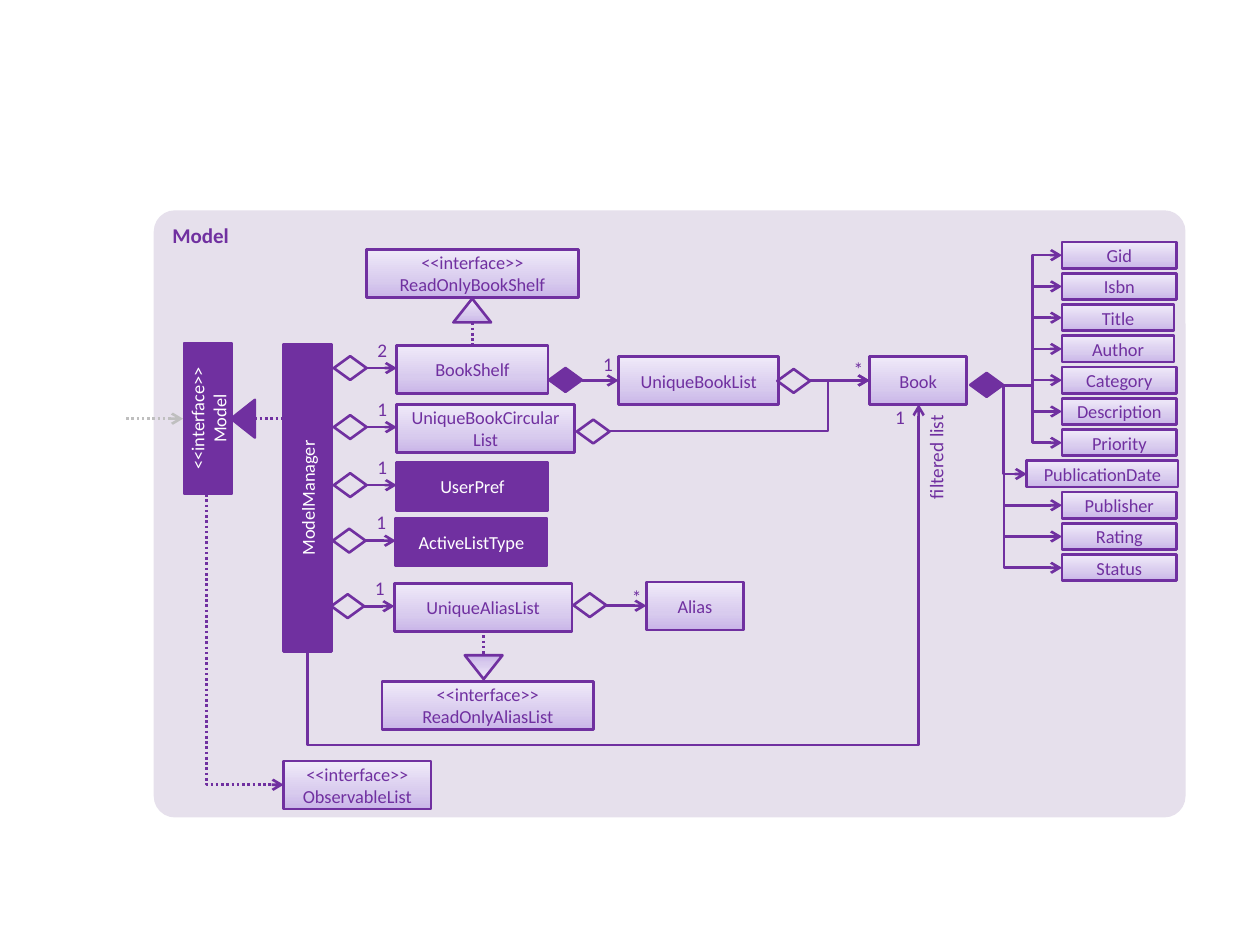
from copy import deepcopy

from lxml import etree
from pptx import Presentation
from pptx import util as u
from pptx.dml.color import RGBColor
from pptx.enum import dml, shapes, text
from pptx.oxml import ns

PURPLE = RGBColor(0x70, 0x30, 0xA0)
PANEL = RGBColor(0xE6, 0xE0, 0xEC)
GREY = RGBColor(0xBF, 0xBF, 0xBF)
WHITE = RGBColor(0xFF, 0xFF, 0xFF)
SHADE = [(0, RGBColor(0xC9, 0xB5, 0xE8)), (0.35, RGBColor(0xD8, 0xCB, 0xEE)),
         (1, RGBColor(0xF0, 0xEA, 0xF9))]
KIND = shapes.MSO_SHAPE
CENTER, RIGHT, LEFT = text.PP_ALIGN.CENTER, text.PP_ALIGN.RIGHT, text.PP_ALIGN.LEFT
BOX_HEIGHT, ROW_HEIGHT = 0.97, 0.53
DIAMOND = (0.66, 0.48)
TRIANGLE = (0.76, 0.48)


class Diagram:
    """Holds the style and the current page; all lengths are centimetres."""

    def __init__(self, page):
        self.page = page
        self.font = {"name": "Calibri", "size": u.Pt(10.5), "bold": False}

    def set_text(self, shape, words, color, align=CENTER, **changes):
        frame = shape.text_frame
        frame.word_wrap = True
        frame.text = words
        for para in frame.paragraphs:
            para.alignment = align
            for span in para.runs:
                for name, value in {**self.font, **changes}.items():
                    setattr(span.font, name, value)
                span.font.color.rgb = color

    def shade(self, shape):
        fill = shape.fill
        fill.gradient()
        fill.gradient_angle = 90
        stop = shape._element.spPr.find(".//" + ns.qn("a:gs"))
        stop.addnext(deepcopy(stop))
        for item, (position, color) in zip(fill.gradient_stops, SHADE):
            item.position = position
            item.color.rgb = color

    def shape(self, kind, left, top, width, height, fill=None, line=PURPLE, rotation=0):
        """Fill is a colour, "shade" for the gradient, or None."""
        shape = self.page.shapes.add_shape(kind, *map(u.Cm, (left, top, width, height)))
        shape.shadow.inherit = False
        shape.rotation = rotation
        if fill == "shade":
            self.shade(shape)
        elif fill is None:
            shape.fill.background()
        else:
            shape.fill.solid()
            shape.fill.fore_color.rgb = fill
        if line is None:
            shape.line.fill.background()
        else:
            shape.line.color.rgb = line
            shape.line.width = u.Pt(1.5)
        return shape

    def box(self, words, left, top, width, height=BOX_HEIGHT, solid=False, rotation=0):
        box = self.shape(KIND.RECTANGLE, left, top, width, height,
                         PURPLE if solid else "shade", rotation=rotation)
        box.text_frame.vertical_anchor = text.MSO_ANCHOR.MIDDLE
        self.set_text(box, words, WHITE if solid else PURPLE)

    def diamond(self, left, top, fill=None):
        self.shape(KIND.FLOWCHART_DECISION, left, top, *DIAMOND, fill)

    def label(self, words, left, top, width=0.53, height=0.51, align=CENTER,
              rotation=0, inset=0):
        label = self.page.shapes.add_textbox(*map(u.Cm, (left, top, width, height)))
        label.rotation = rotation
        frame = label.text_frame
        for side in ("left", "right", "top", "bottom"):
            setattr(frame, "margin_" + side, u.Cm(inset))
        self.set_text(label, words, PURPLE, align, size=u.Pt(11))

    def link(self, start, end, bend=None, turned=False, color=PURPLE,
             dotted=False, arrow=True):
        """A straight line, or an elbow when bend is given; turned leaves vertically."""
        (x1, y1), (x2, y2) = start, end
        if turned:
            x, y, run, rise = (x1 + x2) / 2, (y1 + y2) / 2, y2 - y1, x1 - x2
            x1, y1, x2, y2 = x - run / 2, y - rise / 2, x + run / 2, y + rise / 2
        kind = shapes.MSO_CONNECTOR.STRAIGHT if bend is None else shapes.MSO_CONNECTOR.ELBOW
        link = self.page.shapes.add_connector(kind, *map(u.Cm, (x1, y1, x2, y2)))
        link.line.color.rgb = color
        link.line.width = u.Pt(1.5)
        if dotted:
            link.line.dash_style = dml.MSO_LINE.ROUND_DOT
        properties = link._element.spPr
        if bend is not None:
            guides = properties.find(".//" + ns.qn("a:avLst"))
            etree.SubElement(guides, ns.qn("a:gd"), name="adj1",
                             fmla=f"val {round(bend * 100000)}")
        if turned:
            properties.find(ns.qn("a:xfrm")).set("rot", "5400000")
        if arrow:
            etree.SubElement(properties.find(ns.qn("a:ln")), ns.qn("a:tailEnd"), type="arrow")
        etree.SubElement(properties, ns.qn("a:effectLst"))


deck = Presentation()
deck.slide_width, deck.slide_height = u.Cm(25.4), u.Cm(19.05)
diagram = Diagram(deck.slides.add_slide(deck.slide_layouts[6]))

# Panel
panel = diagram.shape(KIND.ROUNDED_RECTANGLE, 3.1, 4.24, 20.8, 12.24, PANEL, None)
panel.adjustments[0] = 0.035
panel.text_frame.vertical_anchor = text.MSO_ANCHOR.TOP
diagram.set_text(panel, "Model", PURPLE, LEFT, size=u.Pt(12), bold=True)

# Model interface and its manager
diagram.box("ModelManager", 3.1, 9.55, 6.2, solid=True, rotation=270)
diagram.link((6.2, 13.13), (18.52, 8.15), bend=-0.38, turned=True)
diagram.box("<<interface>>\nModel", 2.67, 7.95, 3.05, solid=True, rotation=270)
diagram.shape(KIND.ISOSCELES_TRIANGLE, 4.52, 8.2, *TRIANGLE, PURPLE, rotation=270)
diagram.link((2.54, 8.44), (3.69, 8.44), color=GREY, dotted=True)
diagram.link((5.13, 8.44), (5.74, 8.44), dotted=True, arrow=False)

# Parts owned by the manager
OWNED = [("BookShelf", 8, 6.96, 3.05, False, "2"),
         ("UniqueBookCircularList", 8, 8.15, 3.58, False, "1"),
         ("UserPref", 8, 9.32, 3.05, True, "1"),
         ("ActiveListType", 7.98, 10.44, 3.05, True, "1"),
         ("UniqueAliasList", 7.95, 11.76, 3.58, False, "1")]
for name, left, top, width, solid, count in OWNED:
    diagram.box(name, left, top, width, solid=solid)
    diagram.link((left - 0.61, top + 0.46), (left, top + 0.46))
    diagram.diamond(left - 1.27, top + 0.22)
    diagram.label(count, left - 0.56, top - 0.15)

# Other boxes
for name, left, top, width in [("UniqueBookList", 12.47, 7.19, 3.23),
                               ("Book", 17.53, 7.19, 1.96),
                               ("Alias", 13.03, 11.73, 1.96),
                               ("<<interface>>\vReadOnlyBookShelf", 7.39, 5.03, 4.27),
                               ("<<interface>>\vReadOnlyAliasList", 7.7, 13.74, 4.27),
                               ("<<interface>>\vObservableList", 5.72, 15.34, 2.97)]:
    diagram.box(name, left, top, width)

# Read-only interfaces and the observable list
for left, top, rotation, start, end in [(9.14, 6.02, 0, 6.5, 6.96),
                                        (9.37, 13.21, 180, 12.7, 13.21)]:
    diagram.shape(KIND.ISOSCELES_TRIANGLE, left, top, *TRIANGLE, "shade", rotation=rotation)
    middle = left + TRIANGLE[0] / 2
    diagram.link((middle, start), (middle, end), dotted=True, arrow=False)
diagram.link((4.17, 9.96), (5.72, 15.82), bend=0, dotted=True)

# Links between lists and their items
for left, top, fill in [(11.07, 7.42, PURPLE), (15.67, 7.44, None), (19.56, 7.52, PURPLE),
                        (11.63, 8.46, None), (11.56, 11.96, None)]:
    diagram.diamond(left, top, fill)
for start, end, height in [(11.73, 12.47, 7.67), (16.33, 17.53, 7.67), (12.22, 13.03, 12.21)]:
    diagram.link((start, height), (end, height))
diagram.link((12.29, 8.69), (17.53, 7.67), bend=0.84)
for count, left, top in [("1", 11.99, 7.11), ("*", 17.04, 7.21),
                         ("1", 17.88, 8.18), ("*", 12.57, 11.79)]:
    diagram.label(count, left, top)
diagram.label("filtered list", 17.58, 9.02, 2.44, 0.74, RIGHT, rotation=270, inset=0.2)

# Attributes of a book
ATTRIBUTES = ["Gid", "Isbn", "Title", "Author", "Category", "Description", "Priority",
              "PublicationDate", "Publisher", "Rating", "Status"]
SIZES = {"Title": (21.41, 2.26), "Author": (21.41, 2.26), "PublicationDate": (20.7, 3.05)}
for row, name in enumerate(ATTRIBUTES):
    left, width = SIZES.get(name, (21.41, 2.31))
    top = 4.88 + 0.63 * row
    diagram.box(name, left, top, width, ROW_HEIGHT)
    diagram.link((20.22, 7.77), (left, top + ROW_HEIGHT / 2), bend=0.5 if row < 7 else 0.02)

deck.save("out.pptx")
